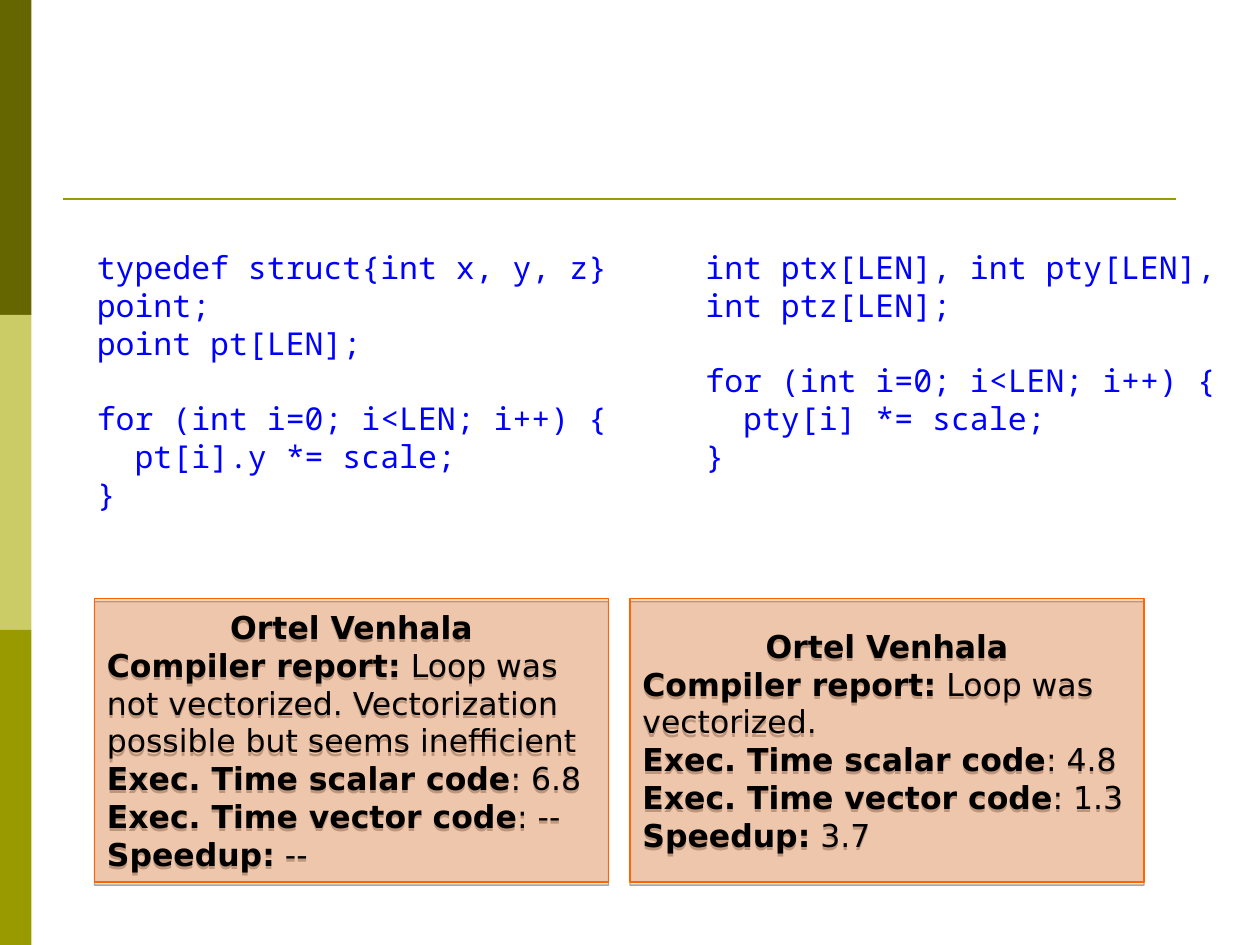
from lxml import etree
from pptx import Presentation
from pptx.dml.color import RGBColor
from pptx.enum.shapes import MSO_CONNECTOR, MSO_SHAPE
from pptx.enum.text import MSO_ANCHOR, PP_ALIGN
from pptx.oxml.ns import qn
from pptx.util import Inches, Pt

RECTANGLE = MSO_SHAPE.RECTANGLE
STRAIGHT = MSO_CONNECTOR.STRAIGHT
MIDDLE = MSO_ANCHOR.MIDDLE
LEFT, CENTER = PP_ALIGN.LEFT, PP_ALIGN.CENTER
DARK_OLIVE = RGBColor(0x66, 0x66, 0x00)
LIGHT_OLIVE = RGBColor(0xCC, 0xCC, 0x66)
OLIVE = RGBColor(0x99, 0x99, 0x00)
ORANGE = RGBColor(0xFF, 0x66, 0x00)
BLUE = RGBColor(0x00, 0x00, 0xFF)
BLACK = RGBColor(0x00, 0x00, 0x00)
CODE_FORMAT = {"name": "Noto Sans Mono", "size": Pt(18)}
REPORT_FORMAT = {"name": "DejaVu Sans", "size": Pt(18)}


def add_run(paragraph, text, formats, color, bold=False):
    run = paragraph.add_run()
    run.text = text
    for attribute, value in formats.items():
        setattr(run.font, attribute, value)
    run.font.bold = bold
    run.font.color.rgb = color


prs = Presentation()
prs.slide_width, prs.slide_height = Inches(10), Inches(7.5)
slide = prs.slides.add_slide(prs.slide_layouts[6])
shapes = slide.shapes

for index, color in enumerate([DARK_OLIVE, LIGHT_OLIVE, OLIVE]):
    band = shapes.add_shape(RECTANGLE, 0, Inches(2.5 * index), Inches(0.25), Inches(2.5))
    band.shadow.inherit = False
    band.fill.solid()
    band.fill.fore_color.rgb = color
    band.line.fill.background()

rule = shapes.add_connector(STRAIGHT, Inches(0.5), Inches(1.58), Inches(9.33), Inches(1.58))
rule.line.color.rgb = OLIVE
rule.line.width = Pt(1.5)
etree.SubElement(rule._element.spPr, qn("a:effectLst"))

code_listings = [
    (0.67, 4.83, 2.5, ["typedef struct{int x, y, z} point;", "point pt[LEN];"], "pt[i].y"),
    (5.5, 4.5, 2.2, ["int ptx[LEN], int pty[LEN],", "int ptz[LEN];"], "pty[i]"),
]
for left, width, height, declarations, element in code_listings:
    listing = shapes.add_textbox(Inches(left), Inches(1.92), Inches(width), Inches(height))
    frame = listing.text_frame
    frame.word_wrap = True
    loop = ["for (int i=0; i<LEN; i++) {", f"  {element} *= scale;", "}"]
    for index, code in enumerate(declarations + loop):
        paragraph = frame.add_paragraph() if index else frame.paragraphs[0]
        if code == loop[0]:
            paragraph.space_before = Pt(21.6)
        add_run(paragraph, code, CODE_FORMAT, BLUE)

reports = [
    (0.75, "Loop was not vectorized. Vectorization possible but seems inefficient",
     "6.8", "--", "--"),
    (5, "Loop was vectorized.", "4.8", "1.3", "3.7"),
]
for left, message, scalar_time, vector_time, speedup in reports:
    report = shapes.add_shape(RECTANGLE, Inches(left), Inches(4.75), Inches(4.08), Inches(2.25))
    report.shadow.inherit = False
    report.fill.solid()
    report.fill.fore_color.rgb = ORANGE
    report.line.color.rgb = ORANGE
    report.line.width = Pt(0.75)

    properties = report._element.spPr
    fill_color = properties.find(qn("a:solidFill")).find(qn("a:srgbClr"))
    etree.SubElement(fill_color, qn("a:alpha"), val="26000")
    shadow = etree.SubElement(properties.find(qn("a:effectLst")), qn("a:outerShdw"),
                              blurRad="0", dist=str(Pt(1.8)), dir="5400000", rotWithShape="0")
    shadow_color = etree.SubElement(shadow, qn("a:srgbClr"), val=str(BLACK))
    etree.SubElement(shadow_color, qn("a:alpha"), val="35000")

    frame = report.text_frame
    frame.word_wrap = True
    frame.vertical_anchor = MIDDLE
    heading = frame.paragraphs[0]
    heading.alignment = CENTER
    add_run(heading, "Ortel Venhala", REPORT_FORMAT, BLACK, True)
    for label, value in [
        ("Compiler report:", f" {message}"),
        ("Exec. Time scalar code", f": {scalar_time}"),
        ("Exec. Time vector code", f": {vector_time}"),
        ("Speedup:", f" {speedup}"),
    ]:
        paragraph = frame.add_paragraph()
        paragraph.alignment = LEFT
        add_run(paragraph, label, REPORT_FORMAT, BLACK, True)
        add_run(paragraph, value, REPORT_FORMAT, BLACK)

prs.save("out.pptx")
